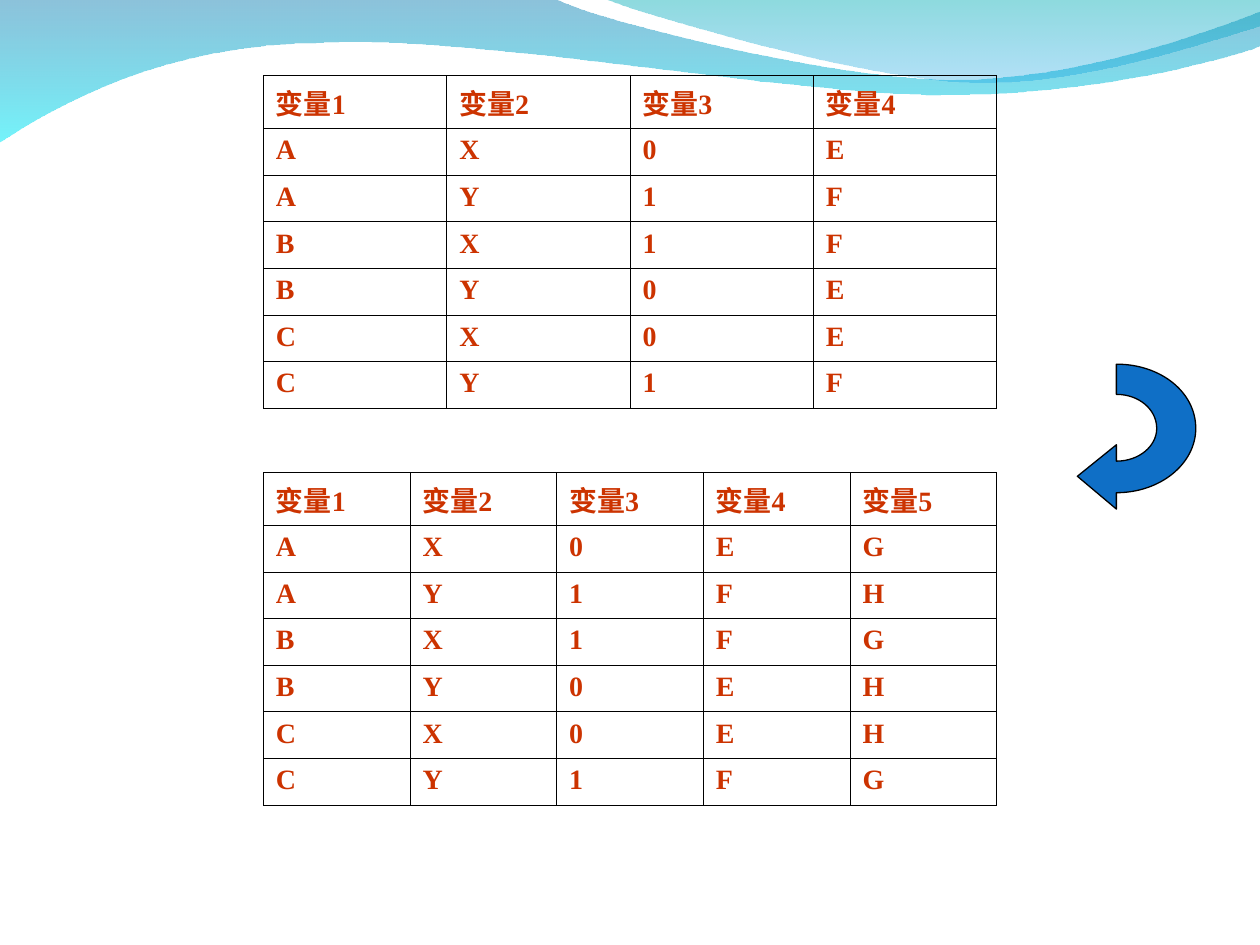
from pptx import Presentation
from pptx.dml.color import RGBColor
from pptx.oxml.ns import qn
from pptx.util import Inches, Pt
from lxml import etree

FONT = "Times New Roman"


def color(hex_code):
    return RGBColor.from_string(hex_code)


def write(cell, text, size=16, bold=True, fill="CC3300"):
    r = cell.text_frame.paragraphs[0].add_run()
    r.text = text
    r.font.name, r.font.size, r.font.bold = FONT, Pt(size), bold
    r.font.color.rgb = color(fill)


prs = Presentation()
prs.slide_width, prs.slide_height = Inches(10), Inches(7.5)
slide = prs.slides.add_slide(prs.slide_layouts[6])

# Outlines: two numbers end a line, six numbers end a Bezier curve
left_wave = [
    (0, -0.01), (4.4, -0.01), (4.76, 0.17, 6.64, 0.63, 7.58, 0.63),
    (8.53, 0.63, 9.58, 0.26, 10, 0.09), (10.01, 0.36),
    (9.83, 0.44, 8.7, 0.76, 7.46, 0.75), (6.22, 0.75, 3.82, 0.28, 2.57, 0.34),
    (1.29, 0.35, 0.46, 0.83, -0.01, 1.13),
]
right_wave = [
    (4.79, -0.01), (5.09, 0.11, 6.82, 0.62, 7.69, 0.65),
    (8.56, 0.69, 9.61, 0.32, 10, 0.21), (10, 0),
]
# The arrow is outlined before its quarter turn
turn_arrow = [
    (9.12, 3.4), (9.12, 3.22, 9, 3.08, 8.86, 3.08),
    (8.71, 3.08, 8.59, 3.22, 8.59, 3.4), (8.35, 3.4),
    (8.35, 3.05, 8.57, 2.77, 8.86, 2.77), (9.14, 2.77, 9.37, 3.05, 9.37, 3.4),
    (9.5, 3.4), (9.24, 3.71), (8.99, 3.4),
]
shapes = []
for outline in (left_wave, right_wave, turn_arrow):
    points = [(Inches(step[i]), Inches(step[i + 1]))
              for step in outline for i in range(0, len(step), 2)]
    builder = slide.shapes.build_freeform(*points[0])
    builder.add_line_segments(points[1:], close=True)
    s = builder.convert_to_shape()
    s.shadow.inherit = False
    # Join each three points of a curve into one Bezier segment
    lines = s._element.iter(qn("a:lnTo"))
    lines = iter(list(lines))
    for step in outline[1:]:
        segment = [next(lines) for _ in range(len(step) // 2)]
        if len(segment) == 3:
            curve = etree.Element(qn("a:cubicBezTo"))
            segment[0].addprevious(curve)
            for ln in segment:
                curve.append(ln[0])
                ln.getparent().remove(ln)
    shapes.append(s)
*waves, arrow = shapes

# Waves: gradient from top to bottom, as (colour, opacity)
gradients = [[("0079AF", 45), ("00EBF8", 55)], [("00ADB6", 45), ("009BE5", 30)]]
for s, gradient in zip(waves, gradients):
    s.line.fill.background()
    s.fill.gradient()
    s.fill.gradient_angle = 270
    for i, (hex_code, _) in enumerate(gradient):
        stop = s.fill.gradient_stops[i]
        stop.position = i
        stop.color.rgb = color(hex_code)
    for clr, (_, opacity) in zip(s._element.spPr.iter(qn("a:srgbClr")), gradient):
        etree.SubElement(clr, qn("a:alpha"), val=str(opacity * 1000))

# Arrow: its head reaches past the frame that it turns in
arrow.width, arrow.height = Inches(1.02), Inches(1.26)
for frame in arrow._element.iter(qn("a:path")):
    frame.set("w", str(arrow.width))
    frame.set("h", str(arrow.height))
arrow.rotation = 90
arrow.fill.solid()
arrow.fill.fore_color.rgb = color("0F6FC6")
arrow.line.color.rgb = color("000000")
arrow.line.width = Pt(0.75)

# Tables: the lower one adds a fifth variable
data = ["AX0E", "AY1F", "BX1F", "BY0E", "CX0E", "CY1F"]
extended = [row + extra for row, extra in zip(data, "GHGHHG")]
frames = []
for top, body in [(0.6, data), (3.75, extended)]:
    n = len(body[0])
    rows = [[f"变量{i + 1}" for i in range(n)]] + body
    gf = slide.shapes.add_table(len(rows), n, Inches(2.09), Inches(top),
                                Inches(5.82), Inches(0.37 * len(rows)))
    frames.append(gf)
    table = gf.table
    table.first_row = table.horz_banding = False
    for col in table.columns:
        col.width = Inches(5.82 / n)
    for i, row in enumerate(rows):
        table.rows[i].height = Inches(0.37)
        for j, text in enumerate(row):
            cell = table.cell(i, j)
            write(cell, text)
            cell.fill.background()
            # Thin black border, placed before the fill
            for k, side in enumerate(("a:lnL", "a:lnR", "a:lnT", "a:lnB")):
                ln = etree.Element(qn(side), w=str(Pt(0.45)))
                fill = etree.SubElement(ln, qn("a:solidFill"))
                etree.SubElement(fill, qn("a:srgbClr"), val="000000")
                cell._tc.tcPr.insert(k, ln)

# The arrow lies between the two tables
frames[0]._element.addnext(arrow._element)

prs.save("out.pptx")
